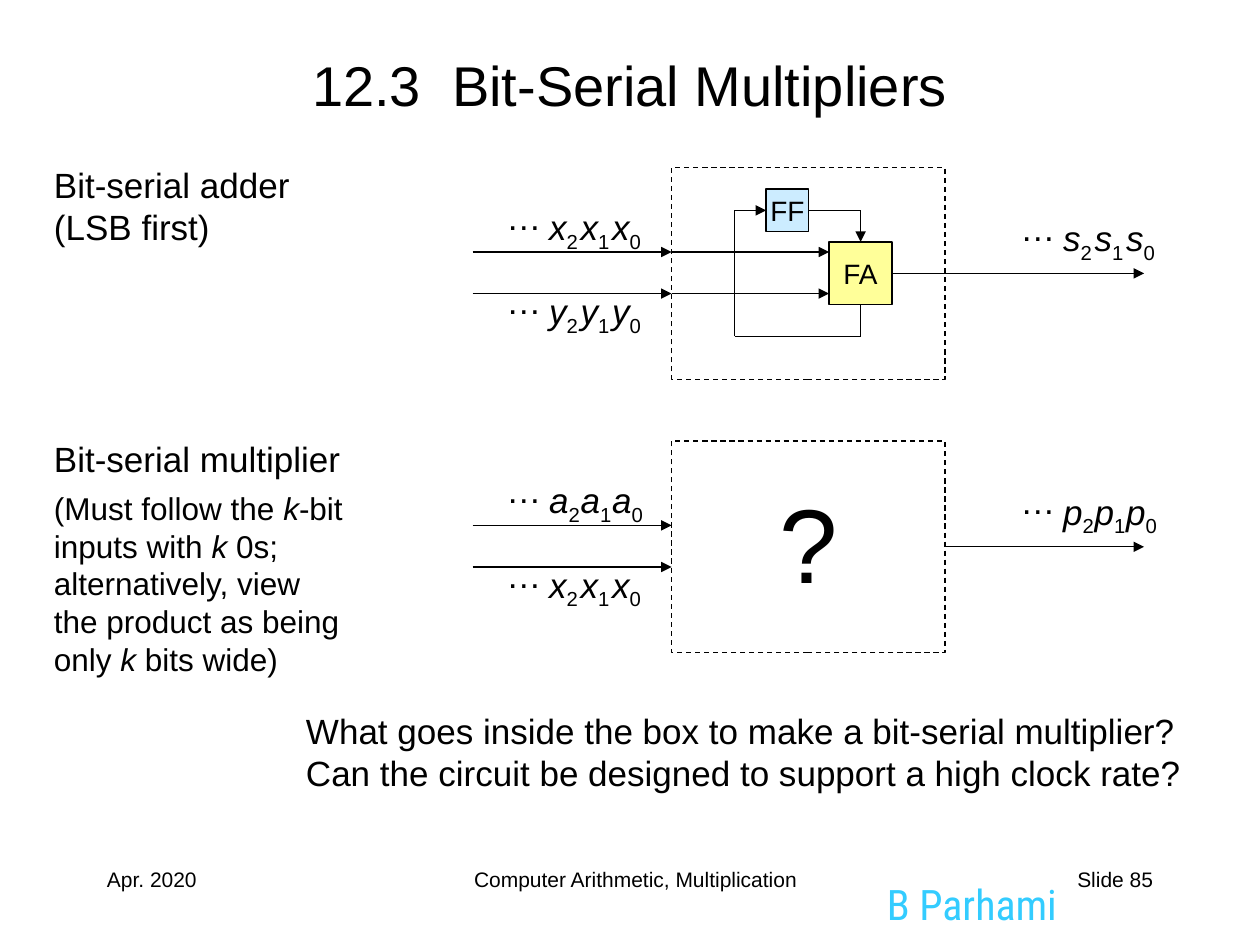
from dataclasses import dataclass

from lxml import etree
from pptx import Presentation
from pptx.dml.color import RGBColor
from pptx.enum.dml import MSO_LINE
from pptx.enum.shapes import MSO_CONNECTOR, MSO_SHAPE
from pptx.enum.text import MSO_ANCHOR, PP_ALIGN
from pptx.oxml.ns import qn
from pptx.util import Inches, Pt

RECTANGLE = MSO_SHAPE.RECTANGLE
STRAIGHT = MSO_CONNECTOR.STRAIGHT
DASH = MSO_LINE.DASH
MIDDLE = MSO_ANCHOR.MIDDLE
LEFT, CENTER, RIGHT = PP_ALIGN.LEFT, PP_ALIGN.CENTER, PP_ALIGN.RIGHT
TOP_SIDE, LEFT_SIDE, BOTTOM_SIDE, RIGHT_SIDE = range(4)


@dataclass(frozen=True)
class Theme:
    font: str = "Arial"
    author_font: str = "Roboto Condensed"
    ink: RGBColor = RGBColor(0x00, 0x00, 0x00)
    paper: RGBColor = RGBColor(0xFF, 0xFF, 0xFF)
    author: RGBColor = RGBColor(0x33, 0xCC, 0xFF)
    adder: RGBColor = RGBColor(0xFF, 0xFF, 0x99)
    flip_flop: RGBColor = RGBColor(0xCC, 0xEC, 0xFF)
    title_size: int = 32
    body_size: int = 20
    note_size: int = 18
    block_size: int = 16
    footer_size: int = 12
    author_size: int = 24
    unknown_size: int = 60
    line_width: float = 0.75


THEME = Theme()


def style_paragraph(paragraph, size, align=LEFT, color=THEME.ink, font=THEME.font):
    paragraph.alignment = align
    paragraph.font.size = Pt(size)
    paragraph.font.name = font
    paragraph.font.color.rgb = color


def add_text(slide, at, lines, size, align=LEFT, **style):
    box = slide.shapes.add_textbox(*map(Inches, at))
    frame = box.text_frame
    frame.word_wrap = True
    frame.text = "\n".join(lines)
    for paragraph in frame.paragraphs:
        style_paragraph(paragraph, size, align, **style)
    return frame


def add_block(slide, at, fill, label="", dashed=False):
    block = slide.shapes.add_shape(RECTANGLE, *map(Inches, at))
    block.shadow.inherit = False
    block.fill.solid()
    block.fill.fore_color.rgb = fill
    block.line.color.rgb = THEME.ink
    block.line.width = Pt(THEME.line_width)
    if dashed:
        block.line.dash_style = DASH
    if label:
        frame = block.text_frame
        frame.word_wrap = False
        frame.margin_left = frame.margin_right = 0
        frame.vertical_anchor = MIDDLE
        frame.text = label
        style_paragraph(frame.paragraphs[0], THEME.block_size, CENTER)
    return block


def add_wire(slide, start, end, arrow=False, source=None, target=None):
    wire = slide.shapes.add_connector(STRAIGHT, *map(Inches, (*start, *end)))
    wire.line.color.rgb = THEME.ink
    wire.line.width = Pt(THEME.line_width)
    if source:
        wire.begin_connect(*source)
    if target:
        wire.end_connect(*target)
    if arrow:
        etree.SubElement(wire.line._get_or_add_ln(), qn("a:tailEnd"), type="triangle")
    etree.SubElement(wire._element.spPr, qn("a:effectLst"))


def add_bit_stream(slide, left, top, symbol):
    add_text(slide, (left - 0.34, top - 0.08, 0.5, 0.44), ["…"], THEME.body_size)
    for position, index in enumerate("210"):
        at = (left + 0.25 * position, top, 0.5, 0.48)
        paragraph = add_text(slide, at, [symbol], THEME.body_size).paragraphs[0]
        paragraph.runs[0].font.italic = True
        subscript = paragraph.add_run()
        subscript.text = index
        subscript.font._element.set("baseline", "-25000")


def add_serial_unit(slide, top, inputs, output):
    unit = add_block(slide, (5.33, top, 2.17, 1.68), THEME.paper, dashed=True)
    for wire_offset, label_offset, symbol in zip((0.67, 1), (0.25, 0.92), inputs):
        y = top + wire_offset
        add_wire(slide, (3.75, y), (5.33, y), arrow=True)
        add_bit_stream(slide, 4.26, top + label_offset, symbol)
    middle = top + 0.84
    add_wire(slide, (7.5, middle), (9.08, middle), arrow=True, source=(unit, RIGHT_SIDE))
    add_bit_stream(slide, 8.34, top + 0.34, output)
    return unit


def add_adder_circuit(slide, unit):
    adder = add_block(slide, (6.58, 1.92, 0.5, 0.5), THEME.adder, "FA")
    flip_flop = add_block(slide, (6.08, 1.5, 0.34, 0.34), THEME.flip_flop, "FF")
    for y in (2, 2.33):
        add_wire(slide, (5.33, y), (6.58, y), arrow=True)
    add_wire(slide, (7.08, 2.17), (7.5, 2.17),
             source=(adder, RIGHT_SIDE), target=(unit, RIGHT_SIDE))
    add_wire(slide, (6.83, 2.42), (6.83, 2.67), source=(adder, BOTTOM_SIDE))
    add_wire(slide, (6.83, 2.67), (5.83, 2.67))
    add_wire(slide, (5.83, 2.67), (5.83, 1.67))
    add_wire(slide, (5.83, 1.67), (6.08, 1.67), arrow=True, target=(flip_flop, LEFT_SIDE))
    add_wire(slide, (6.42, 1.67), (6.83, 1.67), source=(flip_flop, RIGHT_SIDE))
    add_wire(slide, (6.83, 1.67), (6.83, 1.92), arrow=True, target=(adder, TOP_SIDE))


def add_multiplier_note(slide):
    pieces = ["(Must follow the ", "k", "-bit inputs with ", "k",
              " 0s; alternatively, view the product as being only ", "k", " bits wide)"]
    frame = add_text(slide, (0.33, 3.83, 2.5, 1.6), [""], THEME.note_size)
    for piece in pieces:
        run = frame.paragraphs[0].add_run()
        run.text = piece
        if piece == "k":
            run.font.italic = True


def add_footer(slide):
    add_text(slide, (6.94, 6.92, 1.8, 0.42), ["B Parhami"], THEME.author_size,
             color=THEME.author, font=THEME.author_font)
    for left, width, text, align in (
        (0.75, 2.08, "Apr. 2020", LEFT),
        (2.42, 5.25, "Computer Arithmetic, Multiplication", CENTER),
        (7.17, 2.08, "Slide 85", RIGHT),
    ):
        add_text(slide, (left, 6.83, width, 0.5), [text], THEME.footer_size, align)


def main():
    deck = Presentation()
    deck.slide_width, deck.slide_height = Inches(10), Inches(7.5)
    slide = deck.slides.add_slide(deck.slide_layouts[6])

    add_footer(slide)
    title = add_text(slide, (0.75, 0.25, 8.5, 0.83), ["12.3  Bit-Serial Multipliers"],
                     THEME.title_size, CENTER)
    title.vertical_anchor = MIDDLE

    add_text(slide, (0.33, 1.25, 2.6, 0.77), ["Bit-serial adder", "(LSB first)"],
             THEME.body_size)
    adder_unit = add_serial_unit(slide, 1.33, "xy", "s")
    add_adder_circuit(slide, adder_unit)

    add_text(slide, (0.33, 3.42, 2.6, 0.44), ["Bit-serial multiplier"], THEME.body_size)
    add_multiplier_note(slide)
    add_serial_unit(slide, 3.5, "ax", "p")
    add_text(slide, (6.09, 3.75, 0.67, 1.1), ["?"], THEME.unknown_size)

    add_text(slide, (2.33, 5.58, 7.25, 0.77),
             ["What goes inside the box to make a bit-serial multiplier?",
              "Can the circuit be designed to support a high clock rate?"],
             THEME.body_size)
    deck.save("out.pptx")


if __name__ == "__main__":
    main()
